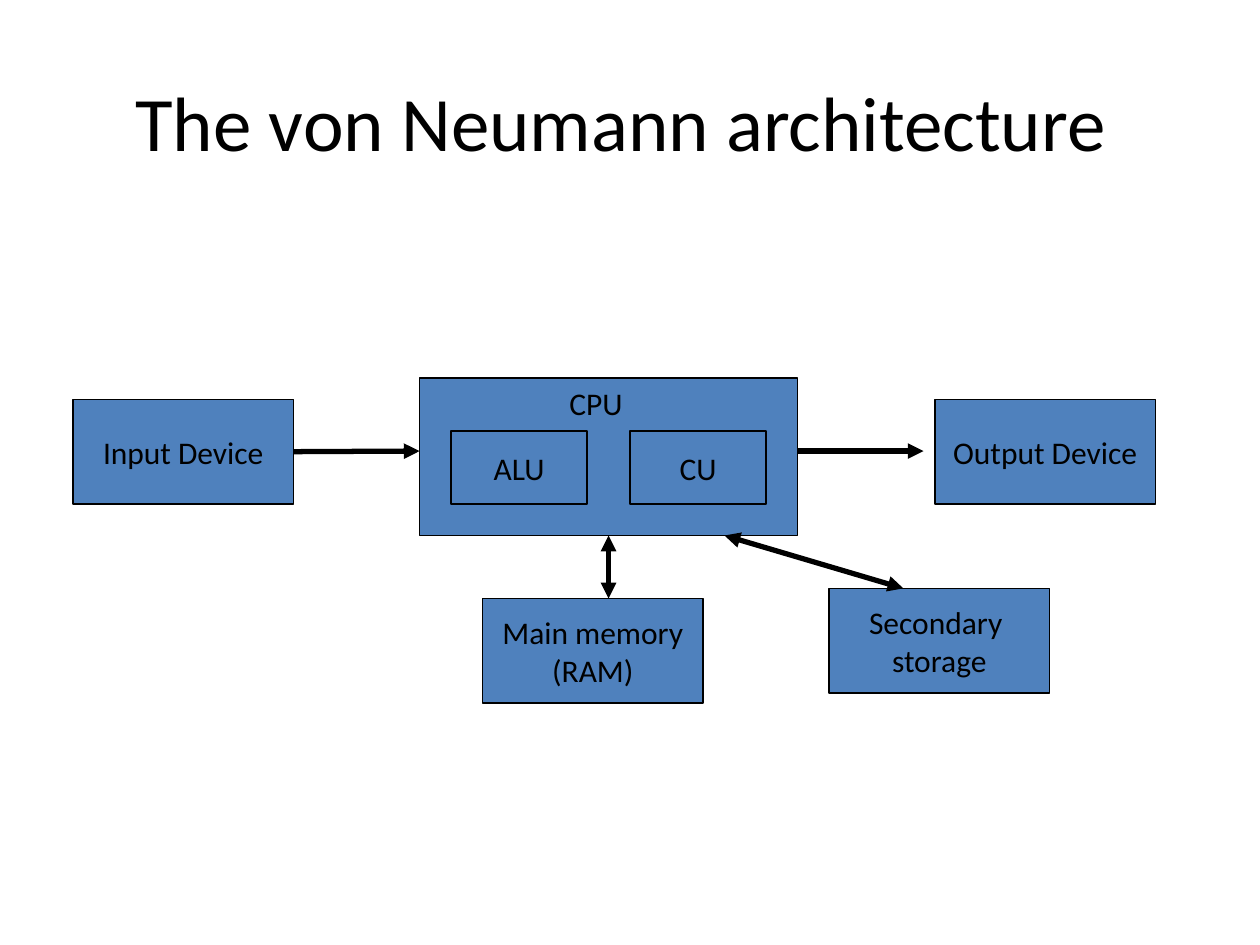
from pptx import Presentation
from pptx.dml.color import RGBColor
from pptx.enum.shapes import MSO_CONNECTOR, MSO_SHAPE
from pptx.enum.text import MSO_ANCHOR, MSO_AUTO_SIZE, PP_ALIGN
from pptx.oxml.ns import qn
from pptx.util import Inches, Pt
from lxml import etree

COLORS = {"box": "4F81BD", "ink": "000000"}
FONT = "Calibri"
DEVICE = (1.75, 0.83)
UNIT = (1.08, 0.58)


def color(name):
    return RGBColor.from_string(COLORS[name])


def write(tf, lines, size=18, align=PP_ALIGN.CENTER):
    for i, line in enumerate(lines):
        p = tf.paragraphs[0] if i == 0 else tf.add_paragraph()
        p.text = line
        p.alignment = align
        p.font.name = FONT
        p.font.size = Pt(size)
        p.font.color.rgb = color("ink")


def add_title(s, text, x, y, w, h):
    sp = s.shapes.title
    sp.left, sp.top, sp.width, sp.height = map(Inches, (x, y, w, h))
    sp.text_frame.vertical_anchor = MSO_ANCHOR.MIDDLE
    write(sp.text_frame, [text], 44)


def add_box(s, x, y, w, h, *lines):
    sp = s.shapes.add_shape(MSO_SHAPE.RECTANGLE, *map(Inches, (x, y, w, h)))
    sp.shadow.inherit = False
    sp.fill.solid()
    sp.fill.fore_color.rgb = color("box")
    sp.line.color.rgb = color("ink")
    sp.line.width = Pt(0.75)
    tf = sp.text_frame
    tf.word_wrap = False
    tf.vertical_anchor = MSO_ANCHOR.MIDDLE
    write(tf, lines)
    return sp


def add_label(s, text, x, y, w, h):
    tf = s.shapes.add_textbox(*map(Inches, (x, y, w, h))).text_frame
    tf.word_wrap = False
    tf.auto_size = MSO_AUTO_SIZE.SHAPE_TO_FIT_TEXT
    write(tf, [text], align=PP_ALIGN.LEFT)


def add_cpu(s, x, y, w, h):
    cpu = add_box(s, x, y, w, h)
    for i, name in enumerate(("ALU", "CU")):
        add_box(s, x + 0.25 + i * 1.42, y + 0.42, *UNIT, name)
    add_label(s, "CPU", x + 1.09, y, 0.73, 0.4)
    return cpu


def add_arrow(s, x1, y1, x2, y2, both=False):
    c = s.shapes.add_connector(MSO_CONNECTOR.STRAIGHT, *map(Inches, (x1, y1, x2, y2)))
    c.line.color.rgb = color("ink")
    c.line.width = Pt(3)
    ln = c.line._get_or_add_ln()
    for end in ("a:headEnd", "a:tailEnd") if both else ("a:tailEnd",):
        etree.SubElement(ln, qn(end), type="triangle")
    etree.SubElement(c._element.spPr, qn("a:effectLst"))
    return c


def add_diagram(s, x, y):
    # Processor and devices
    cpu = add_cpu(s, x + 2.75, y, 3, 1.25)
    input_device = add_box(s, x, y + 0.17, *DEVICE, "Input Device")
    add_box(s, x + 6.84, y + 0.17, *DEVICE, "Output Device")
    add_box(s, x + 3.25, y + 1.75, *DEVICE, "Main memory", "(RAM)")
    add_box(s, x + 6, y + 1.67, *DEVICE, "Secondary ", "storage")

    # Data flow
    flow_y = y + 0.58
    arrow = add_arrow(s, x + 1.75, flow_y, x + 2.75, flow_y)
    arrow.begin_connect(input_device, 3)
    add_arrow(s, x + 5.75, flow_y, x + 6.75, flow_y)
    arrow = add_arrow(s, x + 4.25, y + 1.25, x + 4.25, y + 1.75, both=True)
    arrow.begin_connect(cpu, 2)
    add_arrow(s, x + 5.17, y + 1.25, x + 6.59, y + 1.67, both=True)


def main():
    prs = Presentation()
    prs.slide_width, prs.slide_height = Inches(10), Inches(7.5)
    s = prs.slides.add_slide(prs.slide_layouts[5])
    add_title(s, "The von Neumann architecture ", 0.5, 0.33, 9, 1.25)
    add_diagram(s, 0.58, 3)
    prs.save("out.pptx")


if __name__ == "__main__":
    main()
